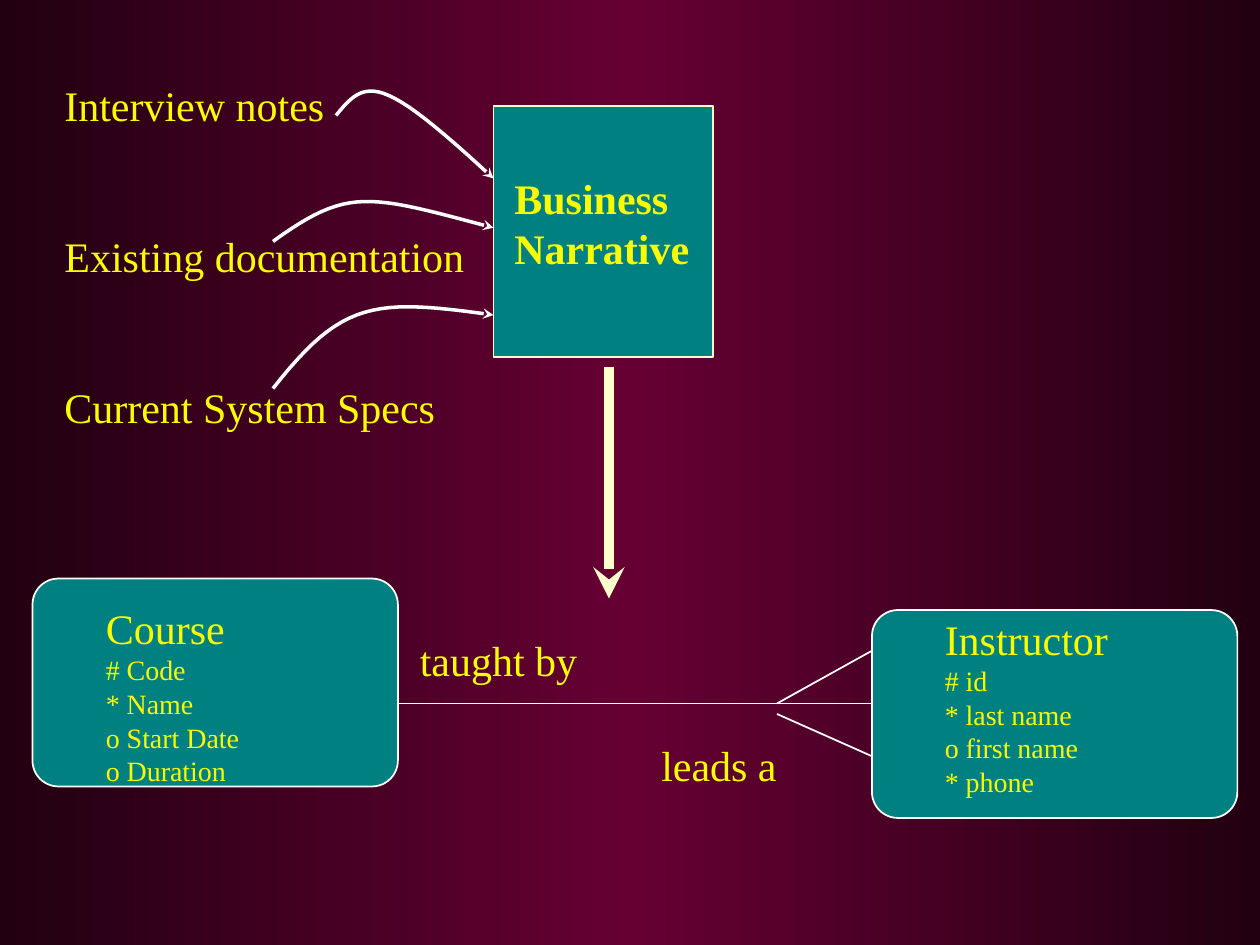
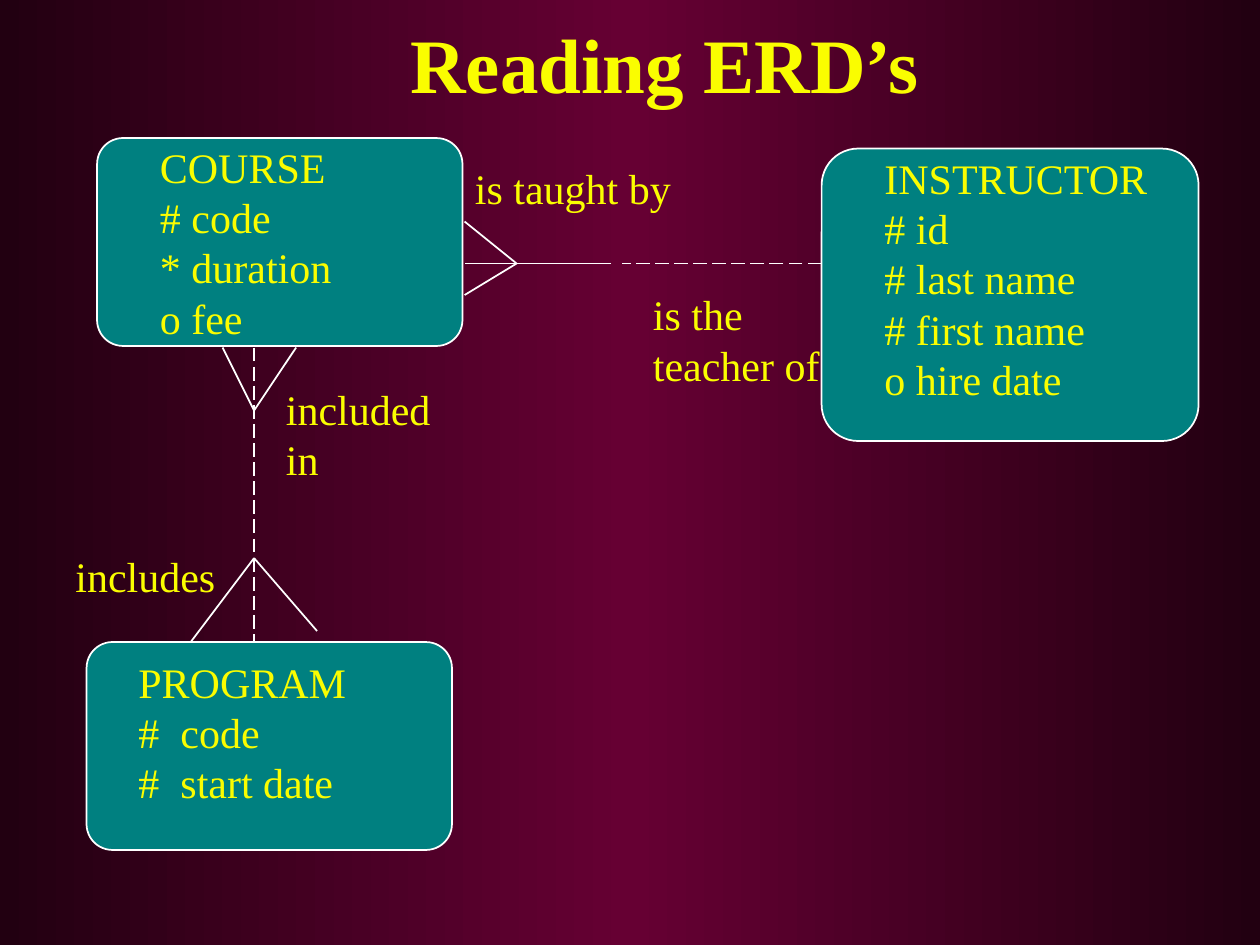
from copy import deepcopy
from dataclasses import dataclass

from lxml import etree
from pptx import Presentation
from pptx import util as u
from pptx.dml.color import RGBColor
from pptx.enum import dml, shapes, text
from pptx.oxml.ns import qn

# Shared look
EDGE = RGBColor(0x22, 0x00, 0x11)
WINE = RGBColor(0x66, 0x00, 0x33)
TEAL = RGBColor(0x00, 0x80, 0x80)
CREAM = RGBColor(0xFF, 0xFF, 0xCC)
WHITE = RGBColor(0xFF, 0xFF, 0xFF)
YELLOW = RGBColor(0xFA, 0xFD, 0x00)
FONT = "Times New Roman"
BODY, SMALL, TITLE = 24, 16, 44
LEADING = 1.2

# Grid of 120 columns by 90 rows; one cell is 6 points square
WIDTH, HEIGHT = u.Inches(10), u.Inches(7.5)
COLUMNS, ROWS, CELL_PT = 120, 90, 6
ENTITY_W, ENTITY_H = 34.8, 19.8
CURVE_STEPS = 24

Point = tuple[float, float]


def col(n: float) -> int:
    return round(WIDTH * n / COLUMNS)


def row(n: float) -> int:
    return round(HEIGHT * n / ROWS)


@dataclass
class Label:
    at: Point
    width: float
    lines: list[str]
    size: int = BODY
    detail_size: int = 0  # size of the lines after the first, if different
    bold: bool = False
    skipped_lines: int = 0  # open lines between paragraphs
    tab: float = 0  # tab stop in columns


@dataclass
class Entity:
    at: Point
    label: Label
    width: float = ENTITY_W
    height: float = ENTITY_H


@dataclass
class Relation:
    start: Point
    end: Point
    dashed: bool = False


@dataclass
class Flow:
    """Curved arrow given by two ends and two control points."""
    start: Point
    lift: Point
    pull: Point
    end: Point

    def at(self, t: float) -> tuple[int, int]:
        s = 1 - t
        weights = (s**3, 3 * s * s * t, 3 * s * t * t, t**3)
        anchors = (self.start, self.lift, self.pull, self.end)
        return (col(sum(w * a[0] for w, a in zip(weights, anchors))),
                row(sum(w * a[1] for w, a in zip(weights, anchors))))


# Drawing functions
def paint_background(master) -> None:
    fill = master.background.fill
    fill.gradient()
    fill.gradient_angle = 0
    first, middle = fill.gradient_stops
    first.color.rgb, middle.color.rgb = EDGE, WINE
    first.position, middle.position = 0, 0.5
    stops = master.element.find(".//" + qn("p:bg")).find(".//" + qn("a:gsLst"))
    last = deepcopy(stops[0])
    last.set("pos", "100000")
    stops.append(last)


def draw_label(slide, label: Label) -> None:
    sizes = [label.size] + [label.detail_size or label.size] * (len(label.lines) - 1)
    gap = label.skipped_lines * LEADING * label.size
    points = sum(sizes) * LEADING + gap * (len(sizes) - 1) + 7.2
    box = slide.shapes.add_textbox(col(label.at[0]), row(label.at[1]),
                                   col(label.width), row(points / CELL_PT))
    frame = box.text_frame
    frame.word_wrap = False
    frame.auto_size = text.MSO_AUTO_SIZE.SHAPE_TO_FIT_TEXT
    frame.text = "\n".join(label.lines)
    for i, (paragraph, size) in enumerate(zip(frame.paragraphs, sizes)):
        if label.tab:
            tabs = etree.SubElement(paragraph._p.get_or_add_pPr(), qn("a:tabLst"))
            etree.SubElement(tabs, qn("a:tab"), pos=str(col(label.tab)), algn="l")
        paragraph.line_spacing = u.Pt(LEADING * size)
        if i and gap:
            paragraph.space_before = u.Pt(gap)
        for run in paragraph.runs:
            run.font.name, run.font.size = FONT, u.Pt(size)
            run.font.bold = label.bold
            run.font.color.rgb = YELLOW


def draw_panel(slide, kind, at: Point, width: float, height: float,
               outline: RGBColor):
    panel = slide.shapes.add_shape(kind, col(at[0]), row(at[1]),
                                   col(width), row(height))
    panel.shadow.inherit = False
    panel.fill.solid()
    panel.fill.fore_color.rgb = TEAL
    panel.line.color.rgb = outline
    panel.line.width = u.Pt(1)
    return panel


def draw_entity(slide, entity: Entity) -> None:
    panel = draw_panel(slide, shapes.MSO_SHAPE.ROUNDED_RECTANGLE, entity.at,
                       entity.width, entity.height, WHITE)
    panel.adjustments[0] = 0.125
    draw_label(slide, entity.label)


def style_line(line, color: RGBColor, points: float, arrow: bool = False) -> None:
    line.color.rgb = color
    line.width = u.Pt(points)
    if arrow:
        etree.SubElement(line._get_or_add_ln(), qn("a:tailEnd"), type="stealth")


def draw_relation(slide, relation: Relation, color: RGBColor = WHITE,
                  points: float = 1, arrow: bool = False) -> None:
    (x1, y1), (x2, y2) = relation.start, relation.end
    link = slide.shapes.add_connector(shapes.MSO_CONNECTOR.STRAIGHT,
                                      col(x1), row(y1), col(x2), row(y2))
    style_line(link.line, color, points, arrow)
    if relation.dashed:
        link.line.dash_style = dml.MSO_LINE.LONG_DASH
    etree.SubElement(link._element.spPr, qn("a:effectLst"))


def draw_flow(slide, flow: Flow) -> None:
    outline = slide.shapes.build_freeform(*flow.at(0))
    outline.add_line_segments(
        [flow.at(i / CURVE_STEPS) for i in range(1, CURVE_STEPS + 1)], close=False)
    curve = outline.convert_to_shape()
    curve.shadow.inherit = False
    curve.fill.background()
    style_line(curve.line, WHITE, 2, arrow=True)


def draw_diagram(slide, entities: list[Entity], relations: list[Relation],
                 labels: list[Label]) -> None:
    for entity in entities:
        draw_entity(slide, entity)
    for relation in relations:
        draw_relation(slide, relation)
    for label in labels:
        draw_label(slide, label)


# Slide 1: from source material to a first diagram
def build_narrative_slide(slide) -> None:
    draw_panel(slide, shapes.MSO_SHAPE.RECTANGLE, (47, 10.1), 20.9, 23.9, CREAM)
    draw_label(slide, Label((47.8, 15.8), 19.1, ["Business", "Narrative"], bold=True))
    draw_label(slide, Label((4.95, 6.95), 40.55,
                            ["Interview notes", "Existing documentation",
                             "Current System Specs"], skipped_lines=2))
    draw_relation(slide, Relation((58, 35), (58, 57)), CREAM, 6, arrow=True)
    for flow in (
        Flow((32, 11), (34.9, 7.4), (36.2, 7), (47, 17)),
        Flow((26, 23), (33.2, 17.8), (35, 18.5), (47, 21.7)),
        Flow((26, 37), (32.6, 28.6), (35.6, 28.4), (47, 30)),
    ):
        draw_flow(slide, flow)
    draw_diagram(
        slide,
        [Entity((3.1, 55.1), Label((8.9, 56.8), 15.1,
                ["Course", "# Code", "* Name", "o Start Date", "o Duration"],
                detail_size=SMALL)),
         Entity((83.05, 58.1), Label((88.8, 57.8), 18,
                ["Instructor", "# id", "* last name", "o first name", "* phone"],
                detail_size=SMALL))],
        [Relation((38, 67), (83, 67)),
         Relation((74, 67), (83, 62)),
         Relation((74, 68), (83, 72))],
        [Label((38.8, 59.8), 17.4, ["taught by"]),
         Label((61.8, 69.8), 13.4, ["leads a"])])


# Slide 2: reading a diagram
def build_reading_slide(slide) -> None:
    teach_y, include_x = 25.1, 24.2
    course_right, course_bottom, program_top = 44.25, 33.1, 61.1
    course_foot, lower_foot = (include_x, 39.1), (include_x, 53.15)
    teach_foot = (49.2, teach_y)
    draw_diagram(
        slide,
        [Entity((9.25, 13.15), Label((14.05, 12.85), 18.7,
                ["COURSE", "# code", "* duration", "o fee"])),
         Entity((78.25, 14.15), Label((83.05, 13.9), 27.6,
                ["INSTRUCTOR", "# id", "# last name", "# first name", "o hire date"]),
                35.9, 27.85),
         Entity((8.25, 61.15), Label((12, 61.9), 22.2,
                ["PROGRAM", "#\tcode", "#\tstart date"], tab=4))],
        [Relation((78.25, teach_y), (59.25, teach_y), dashed=True),
         Relation((58.2, teach_y), (course_right, teach_y)),
         Relation((course_right, 21.1), teach_foot),
         Relation(teach_foot, (course_right, 28.1)),
         Relation((include_x, course_bottom), (include_x, program_top), dashed=True),
         Relation((21.2, course_bottom), course_foot),
         Relation(course_foot, (28.2, course_bottom)),
         Relation(lower_foot, (18.2, program_top)),
         Relation(lower_foot, (30.2, 60.1))],
        [Label((44.05, 14.9), 21.1, ["is taught by"]),
         Label((61, 26.9), 18.4, ["is the", "teacher of"]),
         Label((26.05, 35.9), 16.2, ["included", "in"]),
         Label((6, 51.85), 15.7, ["includes"]),
         Label((37.9, 0.95), 51.1, ["Reading ERD’s"], size=TITLE, bold=True)])


def main() -> None:
    deck = Presentation()
    deck.slide_width, deck.slide_height = WIDTH, HEIGHT
    paint_background(deck.slide_master)
    blank = deck.slide_layouts[6]
    for build in (build_narrative_slide, build_reading_slide):
        build(deck.slides.add_slide(blank))
    deck.save("out.pptx")


if __name__ == "__main__":
    main()
